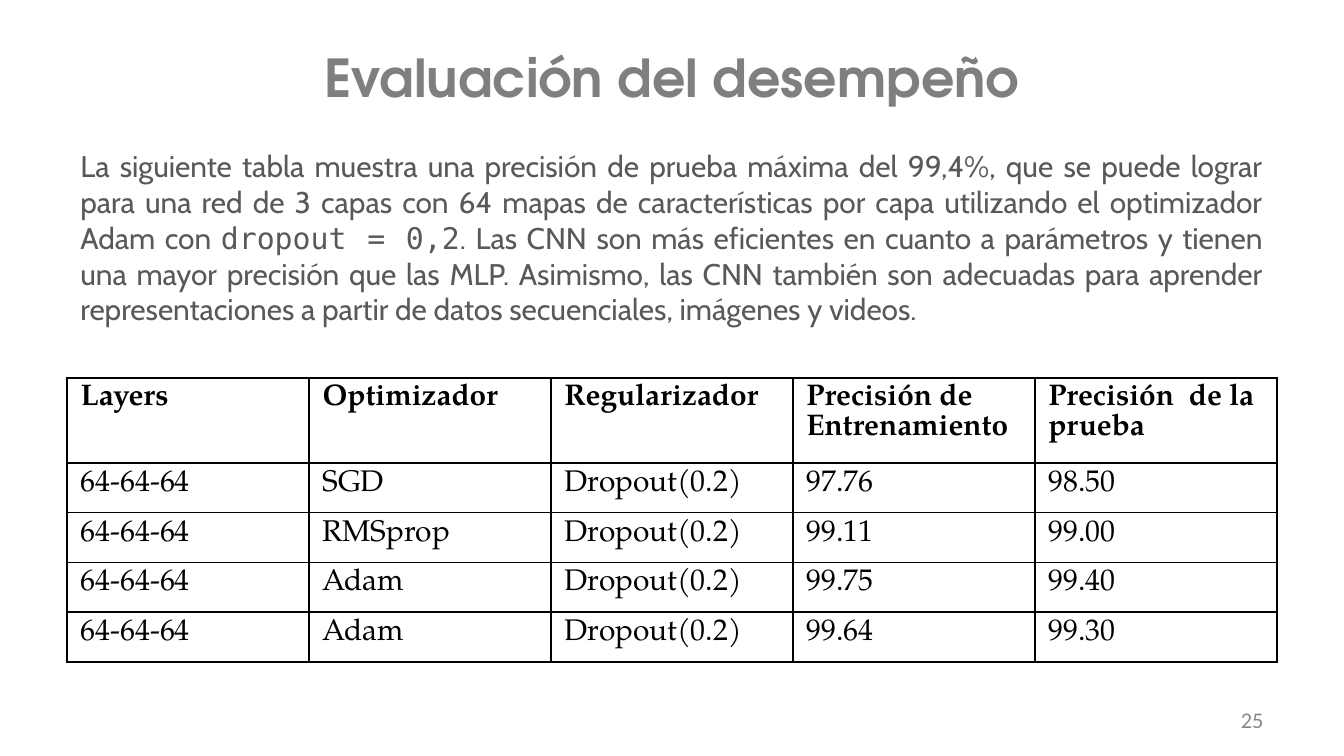
from pptx import Presentation
from pptx.dml.color import RGBColor
from pptx.enum.text import MSO_ANCHOR, PP_ALIGN
from pptx.oxml import parse_xml
from pptx.oxml.ns import nsdecls
from pptx.util import Cm, Pt


def style(r, font, size, color, bold=False):
    r.font.name = font
    r.font.size = Pt(size)
    r.font.bold = bold
    r.font.color.rgb = RGBColor.from_string(color)


def add_borders(cell):
    for side in ("lnL", "lnR", "lnT", "lnB"):
        cell._tc.get_or_add_tcPr().append(parse_xml(
            f'<a:{side} {nsdecls("a")} w="12700"><a:solidFill>'
            f'<a:srgbClr val="000000"/></a:solidFill></a:{side}>'))


prs = Presentation()
prs.slide_width, prs.slide_height = Cm(25.4), Cm(14.29)
s = prs.slides.add_slide(prs.slide_layouts[5])

# Title
title = s.shapes.title
title.left, title.top, title.width, title.height = Cm(1.27), Cm(0), Cm(22.86), Cm(2.9)
tf = title.text_frame
tf.text = "Evaluación del desempeño"
tf.vertical_anchor = MSO_ANCHOR.MIDDLE
p = tf.paragraphs[0]
p.alignment = PP_ALIGN.CENTER
style(p.runs[0], "TeX Gyre Adventor", 28, "7F7F7F", True)

# Explanation
body = s.shapes.add_textbox(Cm(1.27), Cm(2.67), Cm(22.86), Cm(4.47))
tf = body.text_frame
tf.word_wrap = True
p = tf.paragraphs[0]
p.alignment = PP_ALIGN.JUSTIFY
p.space_before = Pt(3.2)
for text, font in [
    ("La siguiente tabla muestra una precisión de prueba máxima del 99,4%, que se puede "
     "lograr para una red de 3 capas con 64 mapas de características por capa utilizando "
     "el optimizador Adam con ", "Cabin"),
    ("dropout = 0,2", "DejaVu Sans Mono"),
    (". Las CNN son más eficientes en cuanto a parámetros y tienen una mayor precisión "
     "que las MLP. Asimismo, las CNN también son adecuadas para aprender representaciones "
     "a partir de datos secuenciales, imágenes y videos.", "Cabin"),
]:
    r = p.add_run()
    r.text = text
    style(r, font, 16, "595959")

# Slide number
number = s.shapes.add_textbox(Cm(18.2), Cm(13.23), Cm(5.93), Cm(0.76))
tf = number.text_frame
tf.word_wrap = True
tf.vertical_anchor = MSO_ANCHOR.MIDDLE
tf.text = "25"
p = tf.paragraphs[0]
p.alignment = PP_ALIGN.RIGHT
style(p.runs[0], "Calibri", 12, "898989")

# Results table
rows = [
    ("Layers", "Optimizador", "Regularizador", "Precisión de Entrenamiento",
     "Precisión  de la prueba"),
    ("64-64-64", "SGD", "Dropout(0.2)", "97.76", "98.50"),
    ("64-64-64", "RMSprop", "Dropout(0.2)", "99.11", "99.00"),
    ("64-64-64", "Adam", "Dropout(0.2)", "99.75", "99.40"),
    ("64-64-64", "Adam", "Dropout(0.2)", "99.64", "99.30"),
]
table = s.shapes.add_table(len(rows), len(rows[0]), Cm(1.27), Cm(7.14),
                           Cm(22.86), Cm(5.36)).table
for i, row in enumerate(rows):
    table.rows[i].height = Cm(1.6 if i == 0 else 0.94)
    for j, text in enumerate(row):
        cell = table.cell(i, j)
        cell.text = text
        style(cell.text_frame.paragraphs[0].runs[0], "TeX Gyre Pagella", 16, "000000", i == 0)
        add_borders(cell)
        cell.fill.background()

prs.save("out.pptx")
